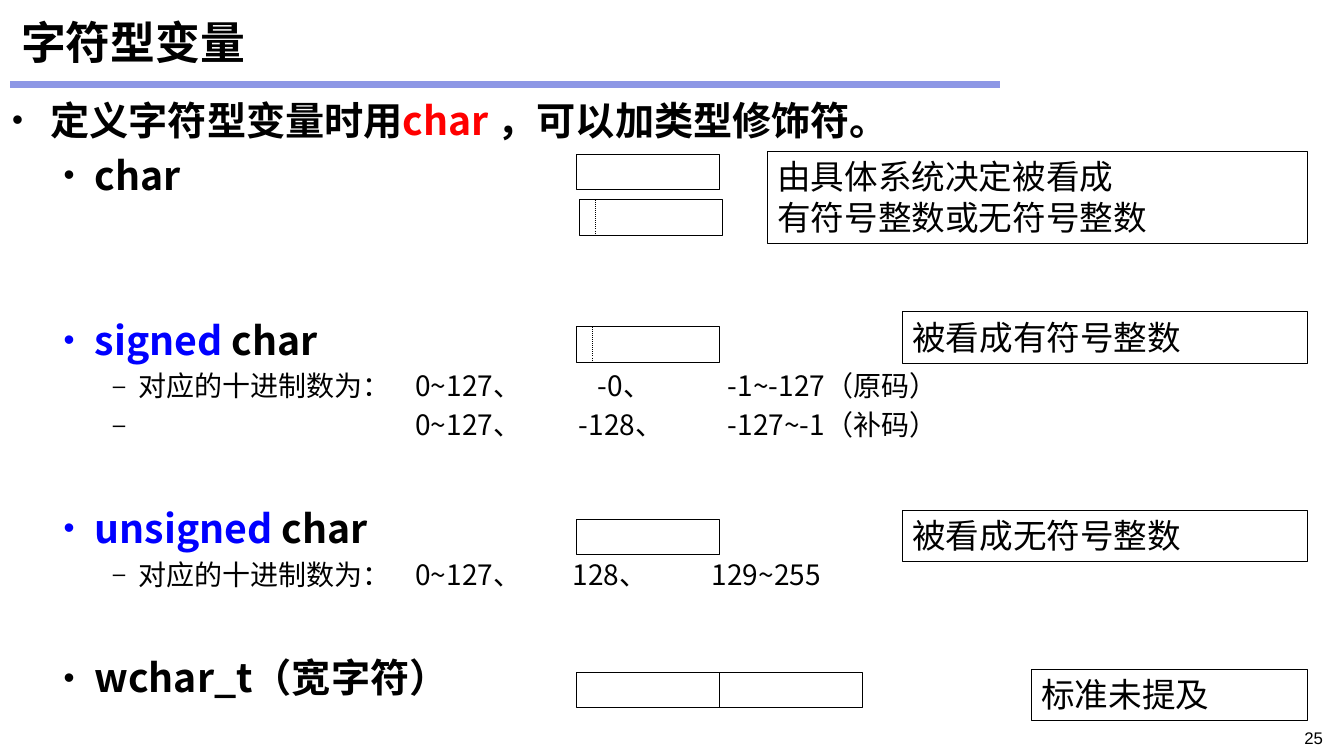
from dataclasses import dataclass

from lxml import etree
from pptx import Presentation
from pptx import util as u
from pptx.dml.color import RGBColor
from pptx.enum import dml, shapes, text
from pptx.oxml.ns import qn

WIDTH, HEIGHT = 13.33, 7.5


@dataclass(frozen=True)
class Theme:
    cjk: str = "Noto Sans CJK SC"
    latin: str = "Arial"
    black: str = "000000"
    white: str = "FFFFFF"
    red: str = "FF0000"
    blue: str = "0000FF"
    rule: str = "8D97E5"
    title: int = 32
    head: int = 28
    note: int = 24
    detail: int = 20
    page: int = 12
    hairline: float = 0.75


T = Theme()
# level: left margin, hanging indent (inches), bullet, size, bold, space before
LEVELS = (
    (0.38, 0.38, "•", T.head, True, 0),
    (0.82, 0.31, "•", T.head, True, 5.6),
    (1.25, 0.25, "–", T.detail, False, 4),
)
# level, extra space before (points), tab stops (inches), coloured runs
BODY = (
    (0, 0, (), (("定义字符型变量时用", T.black), ("char ", T.red),
                ("，可以加类型修饰符。", T.black))),
    (1, 0, (), (("char", T.black),)),
    (1, 78.6, (), (("signed", T.blue), (" char", T.black))),
    (2, 0, (4, 5.81, 7.1),
     (("对应的十进制数为：\t0~127、\t-0、\t-1~-127（原码）", T.black),)),
    (2, 0, (4, 5.62, 7.1),
     (("\t0~127、\t-128、\t-127~-1（补码）", T.black),)),
    (1, 39.3, (), (("unsigned", T.blue), (" char", T.black))),
    (2, 0, (4, 5.56, 6.94),
     (("对应的十进制数为：\t0~127、\t128、\t129~255", T.black),)),
    (1, 39.3, (), (("wchar_t（宽字符）", T.black),)),
)

# Places are percentages of the slide's width and height.
BYTE_LEFT, BYTE_W, BYTE_H, SIGN_W = 42.9, 10.65, 4.72, 1.18
# left, top, has a sign bit
BYTES = (
    (BYTE_LEFT, 20.4, False),
    (BYTE_LEFT + 0.24, 26.4, True),
    (BYTE_LEFT, 43.2, True),
    (BYTE_LEFT, 68.67, False),
    (BYTE_LEFT, 88.93, False),
    (BYTE_LEFT + BYTE_W, 88.93, False),
)
NOTE_RIGHT = 97.3
# left, top, height, lines
NOTES = (
    (57.09, 20, 12.2, ("由具体系统决定被看成", "有符号整数或无符号整数")),
    (67.14, 41.2, 6.85, ("被看成有符号整数",)),
    (67.14, 67.47, 6.85, ("被看成无符号整数",)),
    (76.74, 88.5, 6.85, ("标准未提及",)),
)


def x(share):
    return u.Inches(WIDTH * share / 100)


def y(share):
    return u.Inches(HEIGHT * share / 100)


def area(left, top, width, height):
    return x(left), y(top), x(width), y(height)


def apply(target, formats):
    for name, value in formats.items():
        setattr(target, name, value)


def add_run(p, words, size, color=T.black, font=T.cjk, bold=False):
    r = p.add_run()
    r.text = words
    apply(r.font, {"name": font, "size": u.Pt(size), "bold": bold})
    r.font.color.rgb = RGBColor.from_string(color)
    ea = etree.Element(qn("a:ea"), typeface=T.cjk)
    r.font._element.find(qn("a:latin")).addnext(ea)


def add_textbox(s, place, margins=(0.1, 0.05), anchor=text.MSO_ANCHOR.TOP):
    tf = s.shapes.add_textbox(*place).text_frame
    side, edge = map(u.Inches, margins)
    apply(tf, {"word_wrap": True, "vertical_anchor": anchor,
               "margin_left": side, "margin_right": side,
               "margin_top": edge, "margin_bottom": edge})
    return tf


def add_line(s, start, end, color, weight, dash=None):
    c = s.shapes.add_connector(shapes.MSO_CONNECTOR.STRAIGHT,
                               x(start[0]), y(start[1]), x(end[0]), y(end[1]))
    c.line.color.rgb = RGBColor.from_string(color)
    apply(c.line, {"width": u.Pt(weight), "dash_style": dash})
    etree.SubElement(c._element.spPr, qn("a:effectLst"))


def add_box(s, place, fill=None):
    sp = s.shapes.add_shape(shapes.MSO_SHAPE.RECTANGLE, *place)
    sp.shadow.inherit = False
    if fill:
        sp.fill.solid()
        sp.fill.fore_color.rgb = RGBColor.from_string(fill)
    else:
        sp.fill.background()
    sp.line.color.rgb = RGBColor.from_string(T.black)
    sp.line.width = u.Pt(T.hairline)
    return sp


def add_byte(s, left, top, signed):
    """Draw one memory byte, with a dotted edge after its sign bit."""
    if signed:
        sign = left + SIGN_W
        add_line(s, (sign, top), (sign, top + BYTE_H), T.black, T.hairline,
                 dml.MSO_LINE.ROUND_DOT)
    add_box(s, area(left, top, BYTE_W, BYTE_H))


def add_note(s, left, top, height, lines):
    tf = add_box(s, area(left, top, NOTE_RIGHT - left, height), T.white).text_frame
    apply(tf, {"word_wrap": True, "vertical_anchor": text.MSO_ANCHOR.TOP})
    for i, words in enumerate(lines):
        p = tf.add_paragraph() if i else tf.paragraphs[0]
        p.alignment = text.PP_ALIGN.LEFT
        add_run(p, words, T.note, font=T.latin)


def set_bullet(p, left, hang, char, tabs):
    pPr = p._p.get_or_add_pPr()
    pPr.set("marL", str(u.Inches(left)))
    pPr.set("indent", str(-u.Inches(hang)))
    etree.SubElement(pPr, qn("a:buSzPct"), val="80000")
    etree.SubElement(pPr, qn("a:buFont"), typeface=T.latin)
    etree.SubElement(pPr, qn("a:buChar"), char=char)
    if tabs:
        stops = etree.SubElement(pPr, qn("a:tabLst"))
        for stop in tabs:
            etree.SubElement(stops, qn("a:tab"), pos=str(u.Inches(stop)), algn="l")


def add_body(s):
    tf = add_textbox(s, area(0.75, 12.6, 98.42, 86.8), (0.02, 0.01))
    for i, (level, gap, tabs, runs) in enumerate(BODY):
        left, hang, char, size, bold, before = LEVELS[level]
        p = tf.add_paragraph() if i else tf.paragraphs[0]
        set_bullet(p, left, hang, char, tabs)
        apply(p, {"level": level, "space_before": u.Pt(before + gap)})
        for words, color in runs:
            add_run(p, words, size, color, bold=bold)


def main():
    prs = Presentation()
    apply(prs, {"slide_width": x(100), "slide_height": y(100)})
    s = prs.slides.add_slide(prs.slide_layouts[6])
    add_line(s, (0.75, 11.2), (74.42, 11.2), T.rule, 4.5)
    title = add_textbox(s, area(0.83, 1.07, 98.35, 8.93),
                        anchor=text.MSO_ANCHOR.MIDDLE)
    add_run(title.paragraphs[0], "字符型变量", T.title, bold=True)
    add_body(s)
    for byte in BYTES:
        add_byte(s, *byte)
    for note in NOTES:
        add_note(s, *note)
    page = add_textbox(s, area(89.35, 95.6, 9.83, 3.33)).paragraphs[0]
    page.alignment = text.PP_ALIGN.RIGHT
    add_run(page, "25", T.page, font=T.latin)
    prs.save("out.pptx")


if __name__ == "__main__":
    main()
